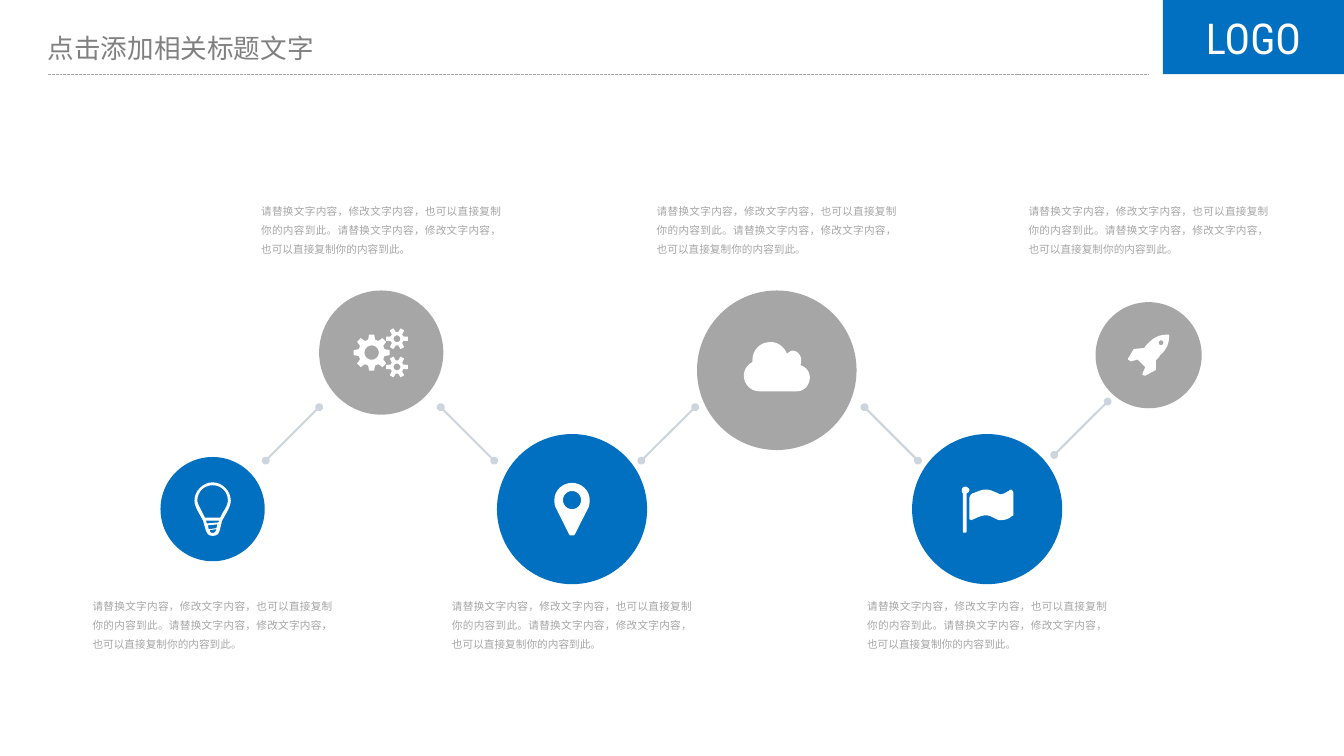
from math import cos, pi, sin

from lxml.etree import SubElement
from pptx import Presentation
from pptx.dml.color import RGBColor
from pptx.enum.dml import MSO_LINE
from pptx.enum.shapes import MSO_CONNECTOR, MSO_SHAPE
from pptx.enum.text import MSO_ANCHOR, MSO_AUTO_SIZE, PP_ALIGN
from pptx.oxml.ns import qn
from pptx.util import Cm, Pt

COLORS = {
    "blue": "0170C1",
    "gray": "A6A6A6",
    "title": "808080",
    "link": "CCD4DE",
    "white": "FFFFFF",
}
CJK_FONT = "Noto Sans CJK SC"
CAPTION = "请替换文字内容，修改文字内容，也可以直接复制你的内容到此。" * 2
CAPTION_WIDTH = 6.38
CAPTION_TOPS = {"blue": 15.77, "gray": 5.28}
ICON_UNIT = Cm(0.0254)

# Icon outlines, measured in icon units from the centre of their circle:
# a pair is a corner, six numbers are a Bézier curve.
BULB = [
    [(0, -28), (-10, -28, -19, -19, -19, -9), (-19, -2, -13, 6, -10, 12),
     (-7, 22, -7, 28, 0, 28), (8, 28, 7, 22, 10, 12),
     (13, 6, 19, -2, 19, -9), (19, -19, 10, -28, 0, -28)],
    [(8, 9), (-8, 9), (-9, 7, -10, 5, -11, 3), (-13, -1, -16, -6, -16, -9),
     (-16, -18, -9, -25, 0, -25), (9, -25, 16, -18, 16, -9),
     (16, -6, 14, -1, 11, 3), (10, 5, 9, 7, 8, 9)],
    [(-6, 15), (-7, 12), (7, 12), (6, 14)],
    [(-4, 21), (-5, 17), (5, 16), (4, 20)],
    [(-3, 22), (4, 21), (3, 24, 2, 25, 0, 25), (-2, 25, -3, 24, -3, 22)],
]
PIN = [
    [(17.5, -2.5), (3.5, 25.5), (2.5, 27.5, 1.5, 27.5, 0, 27.5),
     (-1.5, 27.5, -3, 27.5, -3.5, 25.5), (-17.5, -2.5),
     (-18, -4, -18.5, -7, -18.5, -9.5), (-18.5, -19.5, -10, -27.5, 0, -27.5),
     (10, -27.5, 18.5, -19.5, 18.5, -9.5), (18.5, -7, 18, -4, 17.5, -2.5)],
]
CLOUD = [
    [(21.5, 22), (-18.5, 22), (-27.5, 22, -34.5, 14.5, -34.5, 5.5),
     (-34.5, -0.5, -30.5, -6.5, -25.5, -8.5), (-25.5, -10.5),
     (-25.5, -21.5, -17.5, -29.5, -6.5, -29.5),
     (1.5, -29.5, 7.5, -24.5, 10.5, -17.5),
     (12.5, -18.5, 14.5, -20.5, 16.5, -20.5),
     (21.5, -20.5, 25.5, -15.5, 25.5, -10.5),
     (25.5, -8.5, 25.5, -6.5, 24.5, -5.5),
     (30.5, -3.5, 34.5, 1.5, 34.5, 7.5), (34.5, 15.5, 28.5, 22, 21.5, 22)],
]
FLAG = [
    [(-21.5, -16.5), (-21.5, 23.5), (-22, 24.5), (-25, 24.5), (-25.5, 23.5),
     (-25.5, -16.5), (-26.5, -17.5, -26.5, -18.5, -26.5, -20.5),
     (-26.5, -21.5, -25.5, -23.5, -22.5, -23.5),
     (-21.5, -23.5, -18.5, -21.5, -18.5, -20.5),
     (-18.5, -18.5, -19.5, -17.5, -21.5, -16.5)],
    [(27.5, 6.5), (25.5, 7.5), (22.5, 10.5, 18.5, 11.5, 13.5, 11.5),
     (8.5, 11.5, 5.5, 6.5, -1.5, 6.5), (-6.5, 6.5, -11.5, 9.5, -16.5, 11.5),
     (-18.5, 10.5), (-18.5, -12.5), (-17.5, -14.5), (-15.5, -16.5),
     (-11.5, -17.5, -6.5, -20.5, -1.5, -20.5),
     (3.5, -20.5, 6.5, -18.5, 11.5, -16.5), (13.5, -15.5),
     (18.5, -15.5, 23.5, -20.5, 25.5, -20.5), (27.5, -17.5)],
]
ROCKET = [
    [(12, 0), (11, 2, 9, 4, 7.5, 5.5), (7.5, 15.5), (-3.5, 21.5),
     (-4.5, 21.5), (-6.5, 20.5), (-6.5, 19.5), (-3.5, 12.5), (-11.5, 4.5),
     (-18.5, 6.5), (-21.5, 4.5), (-21.5, 3.5), (-15.5, -6.5), (-4.5, -7.5),
     (-3.5, -9.5, -1.5, -11.5, -0.5, -12.5),
     (6.5, -19.5, 11.5, -21.5, 20.5, -21.5), (21.5, -21.5),
     (21.5, -12.5, 19.5, -6.5, 12, 0)],
]


def polar(x, y, radius, angle):
    return x + radius * cos(angle), y + radius * sin(angle)


def hole(x, y, radius):
    return [polar(x, y, radius, pi * i / 16) for i in range(32)]


def gear(x, y, outer, root, teeth, bore):
    step = 2 * pi / teeth
    corners = [(root, -0.33), (outer, -0.18), (outer, 0.18), (root, 0.33)]
    rim = [polar(x, y, radius, step * (tooth + shift))
           for tooth in range(teeth) for radius, shift in corners]
    return [rim, hole(x, y, bore)]


def flatten(outline):
    """Turn corners and Bézier curves into a list of EMU points."""
    points = []
    for item in outline:
        if len(item) == 2:
            points.append(item)
            continue
        x0, y0 = points[-1]
        x1, y1, x2, y2, x3, y3 = item
        for t in (i / 8 for i in range(1, 9)):
            a, b, c, d = (1 - t) ** 3, 3 * t * (1 - t) ** 2, 3 * t * t * (1 - t), t ** 3
            points.append((a * x0 + b * x1 + c * x2 + d * x3,
                           a * y0 + b * y1 + c * y2 + d * y3))
    return [(x * ICON_UNIT, y * ICON_UNIT) for x, y in points]


def paint(shape, color):
    shape.shadow.inherit = False
    shape.fill.solid()
    shape.fill.fore_color.rgb = RGBColor.from_string(COLORS[color])
    shape.line.fill.background()


def add_badge(page, x, y, diameter, color, icon):
    group = page.shapes.add_group_shape()
    corner = Cm(x - diameter / 2), Cm(y - diameter / 2)
    paint(group.shapes.add_shape(MSO_SHAPE.OVAL, *corner, Cm(diameter), Cm(diameter)), color)
    first, *others = [flatten(outline) for outline in icon]
    builder = group.shapes.build_freeform(*first[0])
    builder.add_line_segments(first[1:])
    for points in others:
        builder.move_to(*points[0])
        builder.add_line_segments(points[1:])
    paint(builder.convert_to_shape(Cm(x), Cm(y)), "white")


def add_line(page, start, end, color, width):
    line = page.shapes.add_connector(MSO_CONNECTOR.STRAIGHT, *map(Cm, start + end))
    line.line.color.rgb = RGBColor.from_string(COLORS[color])
    line.line.width = Pt(width)
    SubElement(line._element.spPr, qn("a:effectLst"))
    return line


def add_link(page, start, end):
    line = add_line(page, start, end, "link", 1.5)
    for tag in ("a:headEnd", "a:tailEnd"):
        SubElement(line.line._get_or_add_ln(), qn(tag), type="oval")


def write(box, text, size, font, color, alignment, margins=(0, 0)):
    frame = box.text_frame
    frame.word_wrap = True
    frame.auto_size = MSO_AUTO_SIZE.NONE
    frame.margin_left = frame.margin_right = Cm(margins[0])
    frame.margin_top = frame.margin_bottom = Cm(margins[1])
    para = frame.paragraphs[0]
    para.alignment = alignment
    span = para.add_run()
    span.text = text
    span.font.size = Pt(size)
    span.font.name = font
    span.font.color.rgb = RGBColor.from_string(COLORS[color])
    SubElement(span.font._element, qn("a:ea"), typeface=CJK_FONT)
    return para


def add_caption(page, x, top):
    box = page.shapes.add_textbox(Cm(x - CAPTION_WIDTH / 2), Cm(top), Cm(CAPTION_WIDTH), Cm(1.47))
    para = write(box, CAPTION, 8, "Arial", "gray", PP_ALIGN.JUSTIFY)
    para.line_spacing = 1.5


def add_header(page):
    title = page.shapes.title
    title.left, title.top, title.width, title.height = Cm(1.02), Cm(0.76), Cm(8.51), Cm(1.04)
    write(title, "点击添加相关标题文字", 20, CJK_FONT, "title", PP_ALIGN.LEFT, (0.25, 0.13))
    title.text_frame.vertical_anchor = MSO_ANCHOR.MIDDLE
    rule = add_line(page, (1.27, 1.97), (30.5, 1.97), "gray", 0.75)
    rule.line.dash_style = MSO_LINE.SQUARE_DOT
    badge = page.shapes.add_shape(MSO_SHAPE.RECTANGLE, Cm(30.9), 0, Cm(4.81), Cm(1.97))
    paint(badge, "blue")
    write(badge, "LOGO", 32, "Roboto Condensed", "white", PP_ALIGN.CENTER, (0.25, 0.13))
    badge.text_frame.vertical_anchor = MSO_ANCHOR.MIDDLE


def main():
    deck = Presentation()
    deck.slide_width, deck.slide_height = Cm(35.71), Cm(20.09)
    page = deck.slides.add_slide(deck.slide_layouts.get_by_name("Title Only"))
    gears = (gear(-10, 0, 19, 14, 8, 7.5) + gear(16.5, -14.5, 11.5, 7, 6, 3.5)
             + gear(16.5, 15, 11.5, 7, 6, 3.5))
    steps = [
        (5.65, 13.53, 2.77, "blue", BULB),
        (10.13, 9.37, 3.3, "gray", gears),
        (15.2, 13.53, 3.99, "blue", PIN + [hole(0, -9.5, 9.5)]),
        (20.64, 9.84, 4.24, "gray", CLOUD),
        (26.23, 13.53, 3.99, "blue", FLAG),
        (30.52, 9.44, 2.82, "gray", ROCKET + [hole(13, -13, 2.5)]),
    ]
    for x, y, diameter, color, icon in steps:
        add_badge(page, x, y, diameter, color, icon)
        add_caption(page, x, CAPTION_TOPS[color])
    for start, end in [
        ((7.06, 12.24), (8.48, 10.82)),
        ((11.71, 10.82), (13.13, 12.24)),
        ((17.04, 12.24), (18.47, 10.82)),
        ((22.97, 10.82), (24.39, 12.24)),
        ((28.01, 12.09), (29.43, 10.67)),
    ]:
        add_link(page, start, end)
    add_header(page)
    deck.save("out.pptx")


if __name__ == "__main__":
    main()
